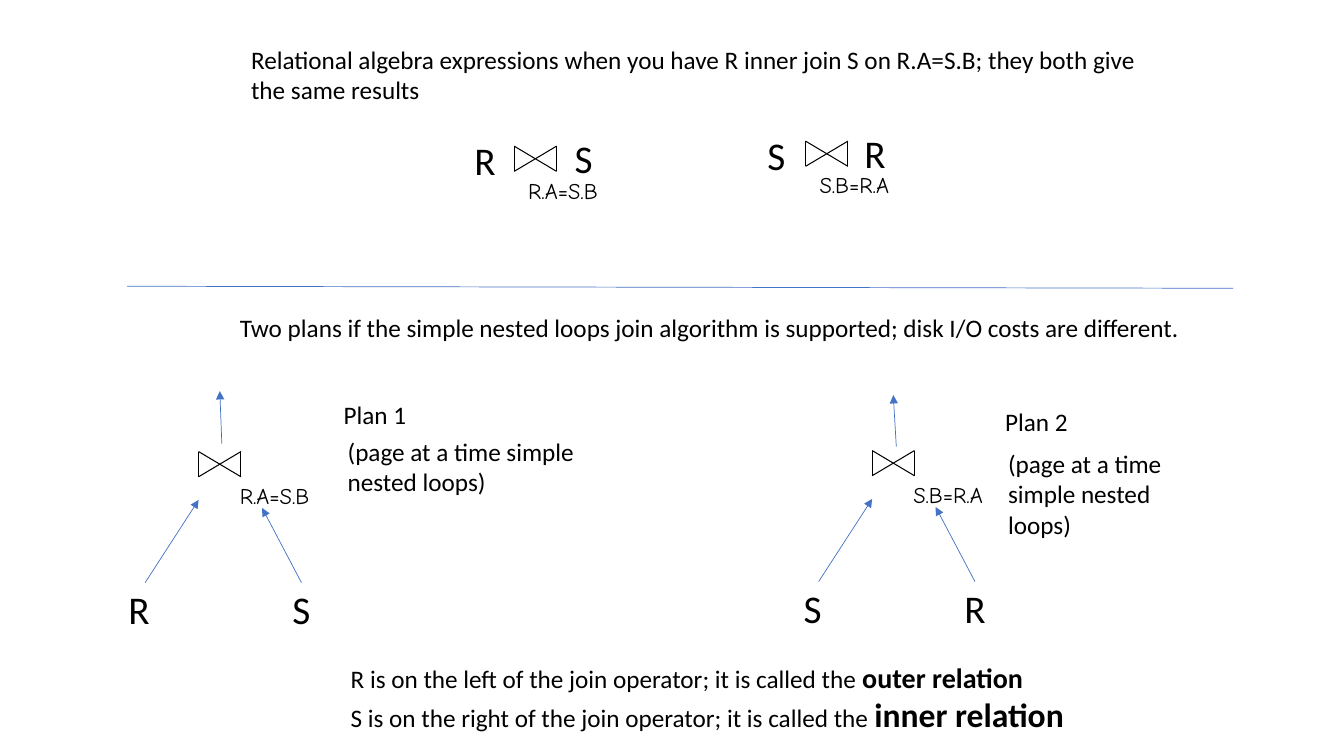
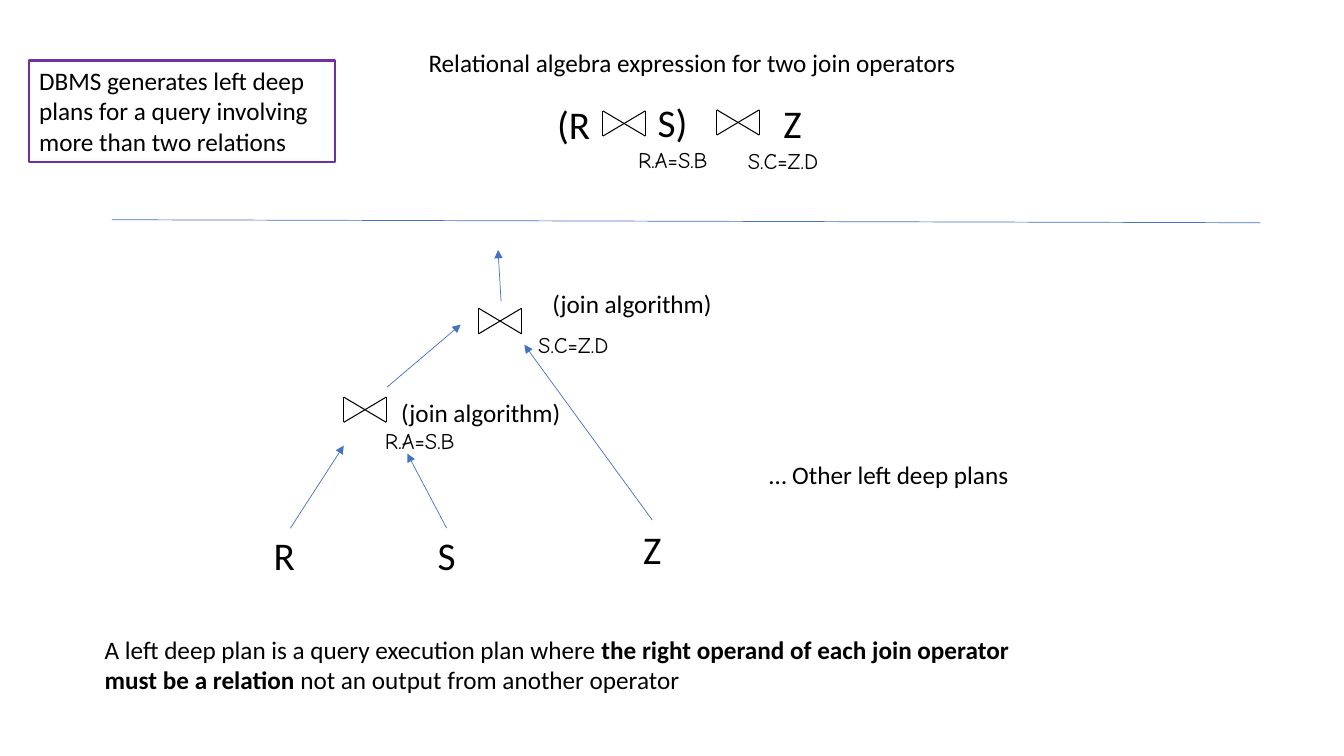
from lxml import etree
from pptx import Presentation
from pptx.dml.color import RGBColor
from pptx.enum import shapes, text
from pptx.oxml import ns
from pptx.util import Inches, Pt

# ---- Content: positions in inches ----
ALGORITHM = "(page at a time simple nested loops)"
SLIDES = [
    {
        "title": ("Relational algebra expressions when you have R inner join S "
                  "on R.A=S.B; they both give the same results",
                  (2.39, 0.39, 9.11, 0.71)),
        "divider": ((1.26, 2.84), (12.23, 2.86)),
        # Bowtie corner, left operand, right operand and its offset, condition and its offset
        "expressions": [
            ((5.1, 1.45), "R", "S", (0.36, -0.17), "R.A=S.B", (0.04, 0.26)),
            ((7.99, 1.4), "S", "R", (0.36, -0.17), "S.B=R.A", (0.04, 0.25)),
        ],
        # Bowtie corner, left operand, right operand, condition
        "leaf_joins": [
            ((1.97, 4.48), "R", "S", "R.A=S.B"),
            ((8.65, 4.47), "S", "R", "S.B=R.A"),
        ],
        "upper_joins": [],
        "arrows": [
            ((2.2, 4.4), (2.18, 3.88)),
            ((8.89, 4.43), (8.86, 3.92)),
        ],
        "operands": [],
        # Paragraphs of (words, style) runs, box, wrap
        "notes": [
            ([[("Two plans if the simple nested loops join algorithm is "
                "supported; disk I/O costs are different.", "body")]],
             (2.28, 3.05, 9.57, 0.4), False),
            ([[("Plan 1", "body")]], (3.31, 3.91, 0.83, 0.4), False),
            ([[("Plan 2", "body")]], (9.87, 3.98, 0.83, 0.4), False),
            ([[(ALGORITHM, "body")]], (3.35, 4.28, 2.77, 0.71), True),
            ([[(ALGORITHM, "body")]], (9.9, 4.4, 1.87, 1.01), True),
            ([[("R is on the left of the join operator; it is called the ", "body"),
               ("outer relation", "outer")],
              [("S is on the right of the join operator; it is called the ", "body"),
               ("inner relation", "inner")]],
             (3.38, 6.5, 7.44, 0.84), False),
        ],
        "callouts": [],
    },
    {
        "title": ("Relational algebra expression for two join operators",
                  (4.15, 0.42, 5.49, 0.4)),
        "divider": ((1.11, 2.18), (12.5, 2.21)),
        "expressions": [
            ((5.98, 1.1), "(R", "S)", (0.36, -0.17), "R.A=S.B", (0.25, 0.3)),
            ((7.11, 1.09), None, "Z", (0.42, -0.15), "S.C=Z.D", (0.21, 0.32)),
        ],
        "leaf_joins": [((3.41, 3.94), "R", "S", "R.A=S.B")],
        "upper_joins": [((4.75, 3.06), "S.C=Z.D")],
        "arrows": [
            ((3.84, 3.84), (4.57, 3.22)),
            ((6.47, 5.16), (5.2, 3.42)),
            ((4.97, 2.99), (4.94, 2.48)),
        ],
        "operands": [("Z", (6.14, 5.16))],
        "notes": [
            ([[("(join algorithm)", "body")]], (3.88, 3.89, 1.8, 0.4), False),
            ([[("(join algorithm)", "body")]], (5.38, 2.81, 1.8, 0.4), False),
            ([[("… Other left deep plans", "body")]], (7.53, 4.51, 2.61, 0.4), False),
            ([[("A left deep plan is a query execution plan where ", "body"),
               ("the right operand of each join operator must be a relation ", "strong"),
               ("not an output from another operator", "body")]],
             (0.94, 6.24, 9.69, 0.73), True),
        ],
        "callouts": [
            ("DBMS generates left deep plans for a query involving more than "
             "two relations", (0.29, 0.6, 3.03, 1.01)),
        ],
    },
]


# ---- Theme ----
class Theme:
    ink, accent, callout = "000000", "4472C4", "7030A0"
    line, bowtie_line, callout_line = 0.5, 0.75, 1.5
    bowtie = (0.42, 0.25)
    operand = (0.66, 0.57)
    condition = (1.03, 0.37)
    styles = {
        "body": {"name": "Calibri", "size": Pt(18), "bold": False},
        "strong": {"name": "Calibri", "size": Pt(18), "bold": True},
        "outer": {"name": "Calibri", "size": Pt(20), "bold": True},
        "inner": {"name": "Calibri", "size": Pt(24), "bold": True},
        "operand": {"name": "Calibri", "size": Pt(28), "bold": False},
        "condition": {"name": "Comic Neue", "size": Pt(16), "bold": False},
    }


# ---- Helpers ----
def color(value):
    return RGBColor.from_string(value)


def offset(origin, step):
    return origin[0] + step[0], origin[1] + step[1]


def set_all(target, values):
    for name, value in values.items():
        setattr(target, name, value)


def write(shape, paragraphs, wrap=True, align=text.PP_ALIGN.LEFT,
          fit=text.MSO_AUTO_SIZE.SHAPE_TO_FIT_TEXT):
    frame = shape.text_frame
    set_all(frame, {"word_wrap": wrap, "auto_size": fit,
                    "vertical_anchor": text.MSO_ANCHOR.TOP})
    for index, runs in enumerate(paragraphs):
        paragraph = frame.add_paragraph() if index else frame.paragraphs[0]
        set_all(paragraph, {"alignment": align, "line_spacing": 1.0})
        for words, style in runs:
            run = paragraph.add_run()
            run.text = words
            set_all(run.font, Theme.styles[style])
            run.font.color.rgb = color(Theme.ink)


def add_text(slide, paragraphs, box, **options):
    shape = slide.shapes.add_textbox(*map(Inches, box))
    write(shape, paragraphs, **options)


def add_operand(slide, name, corner):
    add_text(slide, [[(name, "operand")]], corner + Theme.operand,
             align=text.PP_ALIGN.CENTER)


def add_condition(slide, words, corner):
    add_text(slide, [[(words, "condition")]], corner + Theme.condition, wrap=False)


def add_line(container, start, end, line_color=Theme.accent, width=Theme.line,
             arrow=False):
    line = container.shapes.add_connector(
        shapes.MSO_CONNECTOR.STRAIGHT, *map(Inches, start + end))
    line.line.color.rgb = color(line_color)
    line.line.width = Pt(width)
    if arrow:
        etree.SubElement(line.line._get_or_add_ln(), ns.qn("a:tailEnd"), type="triangle")
    etree.SubElement(line._element.spPr, ns.qn("a:effectLst"))


def add_bowtie(slide, corner):
    left, top = corner
    right, bottom = offset(corner, Theme.bowtie)
    group = slide.shapes.add_group_shape()
    for start, end in [((left, top), (right, bottom)), ((left, bottom), (right, top)),
                       ((left, top), (left, bottom)), ((right, top), (right, bottom))]:
        add_line(group, start, end, Theme.ink, Theme.bowtie_line)


def add_expression(slide, corner, left, right, right_step, condition, condition_step):
    add_bowtie(slide, corner)
    if left:
        add_operand(slide, left, offset(corner, (-0.62, -0.15)))
    add_operand(slide, right, offset(corner, right_step))
    add_condition(slide, condition, offset(corner, condition_step))


def add_leaf_join(slide, corner, left, right, condition):
    add_bowtie(slide, corner)
    add_condition(slide, condition, offset(corner, (0.31, 0.25)))
    for name, label, start, end in [
            (left, (-0.92, 1.28), (-0.53, 1.3), (0, 0.48)),
            (right, (0.69, 1.28), (1.02, 1.3), (0.63, 0.56))]:
        add_operand(slide, name, offset(corner, label))
        add_line(slide, offset(corner, start), offset(corner, end), arrow=True)


def add_upper_join(slide, corner, condition):
    add_bowtie(slide, corner)
    add_condition(slide, condition, offset(corner, (0.49, 0.18)))


def add_callout(slide, words, box):
    shape = slide.shapes.add_shape(shapes.MSO_SHAPE.RECTANGLE, *map(Inches, box))
    shape.shadow.inherit = False
    shape.fill.background()
    shape.line.color.rgb = color(Theme.callout)
    shape.line.width = Pt(Theme.callout_line)
    write(shape, [[(words, "body")]])


def add_title(slide, words, box):
    title = slide.shapes.title
    set_all(title, dict(zip(("left", "top", "width", "height"), map(Inches, box))))
    write(title, [[(words, "body")]], fit=text.MSO_AUTO_SIZE.NONE)


# ---- Build ----
presentation = Presentation()
presentation.slide_width, presentation.slide_height = Inches(13.33), Inches(7.5)
title_only = presentation.slide_layouts[5]

for content in SLIDES:
    slide = presentation.slides.add_slide(title_only)
    add_title(slide, *content["title"])
    add_line(slide, *content["divider"])
    for key, add_part in [("expressions", add_expression),
                          ("leaf_joins", add_leaf_join),
                          ("upper_joins", add_upper_join),
                          ("operands", add_operand),
                          ("callouts", add_callout)]:
        for part in content[key]:
            add_part(slide, *part)
    for start, end in content["arrows"]:
        add_line(slide, start, end, arrow=True)
    for paragraphs, box, wrap in content["notes"]:
        add_text(slide, paragraphs, box, wrap=wrap)

presentation.save("out.pptx")
